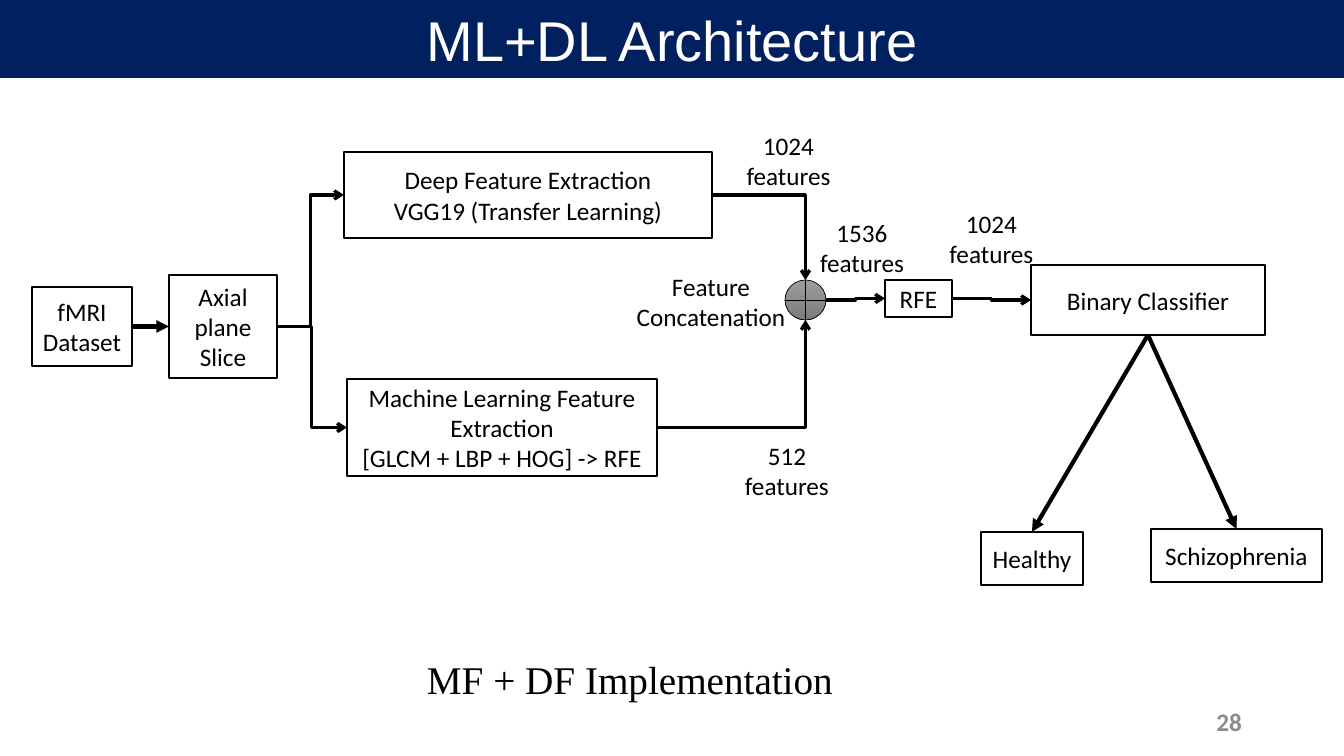
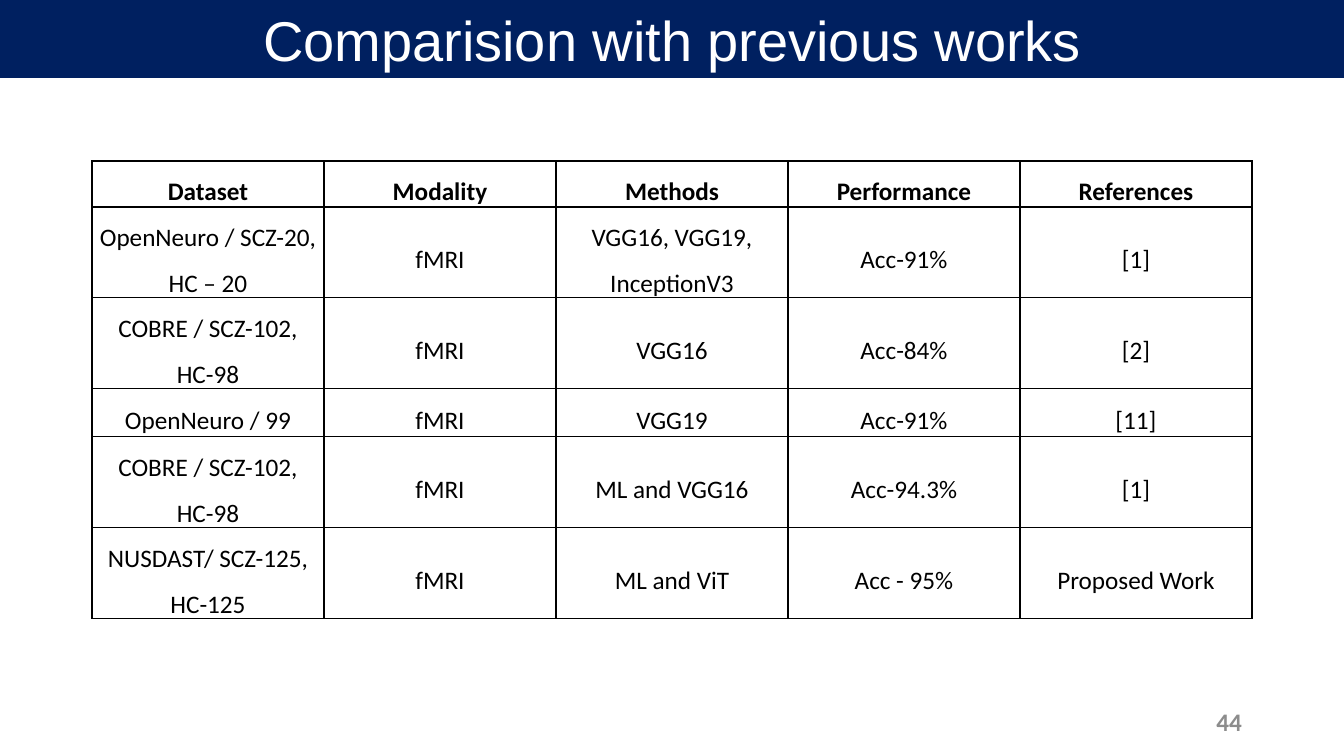
import pptx
import pptx.util
import pptx.dml.color
import pptx.enum.shapes
import pptx.enum.text
import pptx.oxml.ns
import lxml.etree

RGB = pptx.dml.color.RGBColor
SHAPE = pptx.enum.shapes.MSO_SHAPE
LINK = pptx.enum.shapes.MSO_CONNECTOR
ALIGN = pptx.enum.text.PP_ALIGN
ANCHOR = pptx.enum.text.MSO_ANCHOR
FIT = pptx.enum.text.MSO_AUTO_SIZE
Pt = pptx.util.Pt
qn = pptx.oxml.ns.qn

NAVY = RGB(0x00, 0x20, 0x60)
WHITE = RGB(0xFF, 0xFF, 0xFF)
BLACK = RGB(0x00, 0x00, 0x00)
GRAY = RGB(0x8C, 0x8C, 0x8C)
LIGHT = RGB(0x9D, 0x9D, 0x9D)
DARK = RGB(0x7C, 0x7C, 0x7C)

PX = 914400 / 100.8
WIDTH, HEIGHT = 1344, 756
BAND = (0, 0, WIDTH, 78)
PAGE = (950, 701, 302, 40)

# name: (text, (left, top, width, height))
BOXES = {
    "data": ("fMRI Dataset", (32, 287, 100, 79)),
    "slice": ("Axial plane\nSlice", (169, 275, 108, 103)),
    "deep": ("Deep Feature Extraction\nVGG19 (Transfer Learning)",
             (344, 152, 368, 86)),
    "ml": ("Machine Learning Feature Extraction\n[GLCM + LBP + HOG] -> RFE",
           (347, 379, 310, 97)),
    "rfe": ("RFE", (885, 280, 67, 37)),
    "class": ("Binary Classifier", (1031, 265, 234, 70)),
    "well": ("Healthy", (981, 532, 102, 53)),
    "ill": ("Schizophrenia", (1151, 529, 171, 53)),
}
JOIN = (785, 280, 41, 40)
LABELS = [
    ("1024 features", (712, 125, 153, 72)),
    ("512\nfeatures", (726, 435, 122, 72)),
    ("1536 features", (808, 212, 108, 72)),
    ("1024\nfeatures", (933, 203, 117, 72)),
    ("Feature Concatenation", (622, 266, 178, 72)),
]
CAPTION = ("MF + DF Implementation", (417, 650, 441, 57))

STRAIGHT, STEP, CORNER = "line", "bentConnector3", "bentConnector2"
ARROWS = [
    ("data", "right", "slice", "left", STRAIGHT),
    ("slice", "right", "deep", "left", STEP),
    ("slice", "right", "ml", "left", STEP),
    ("deep", "right", "join", "top", CORNER),
    ("ml", "right", "join", "bottom", CORNER),
    ("join", "right", "rfe", "left", STEP),
    ("rfe", "right", "class", "left", STEP),
    ("class", "bottom", "well", "top", STRAIGHT),
    ("class", "bottom", "ill", "top", STRAIGHT),
]
# side: (share of width, share of height, connection site of a rectangle)
SIDES = {"top": (0.5, 0, 0), "left": (0, 0.5, 1),
         "bottom": (0.5, 1, 2), "right": (1, 0.5, 3)}

GRID = (92, 161)
COL = 232
ROWS = [
    (46, ["Dataset", "Modality", "Methods", "Performance", "References"]),
    (90, ["OpenNeuro / SCZ-20, HC – 20", "fMRI", "VGG16, VGG19, InceptionV3",
          "Acc-91%", "[1]"]),
    (91, ["COBRE / SCZ-102, HC-98", "fMRI", "VGG16", "Acc-84%", "[2]"]),
    (48, ["OpenNeuro / 99", "fMRI", "VGG19", "Acc-91%", "[11]"]),
    (91, ["COBRE / SCZ-102, HC-98", "fMRI", "ML and VGG16", "Acc-94.3%",
          "[1]"]),
    (90, ["NUSDAST/ SCZ-125, HC-125", "fMRI", "ML and ViT", "Acc - 95%",
          "Proposed Work"]),
]


def emu(*lengths):
    return [pptx.util.Emu(round(n * PX)) for n in lengths]


def write(frame, text, size=18, face="Calibri", color=BLACK,
          align=ALIGN.CENTER, bold=False):
    frame.text = text
    for para in frame.paragraphs:
        para.alignment = align
        for run in para.runs:
            font = run.font
            font.size, font.name, font.bold = Pt(size), face, bold
            font.color.rgb = color


def label(slide, text, area, anchor=ANCHOR.TOP, **style):
    frame = slide.shapes.add_textbox(*emu(*area)).text_frame
    frame.word_wrap = True
    frame.vertical_anchor = anchor
    write(frame, text, **style)


def start(deck, title, page):
    """Add a slide with its title band and page number."""
    slide = deck.slides.add_slide(deck.slide_layouts[5])
    band = slide.shapes.title
    band.left, band.top, band.width, band.height = emu(*BAND)
    band.fill.solid()
    band.fill.fore_color.rgb = NAVY
    frame = band.text_frame
    frame.word_wrap = True
    frame.auto_size = FIT.NONE
    frame.vertical_anchor = ANCHOR.TOP
    write(frame, title, 40, "Arial", WHITE)
    label(slide, page, PAGE, ANCHOR.MIDDLE, color=GRAY, align=ALIGN.RIGHT,
          bold=True)
    return slide


def outline(slide, kind, area, weight):
    shape = slide.shapes.add_shape(kind, *emu(*area))
    shape.shadow.inherit = False
    shape.line.color.rgb = BLACK
    shape.line.width = Pt(weight)
    return shape


def box(slide, text, area):
    shape = outline(slide, SHAPE.RECTANGLE, area, 1)
    shape.fill.solid()
    shape.fill.fore_color.rgb = WHITE
    shape.text_frame.vertical_anchor = ANCHOR.MIDDLE
    write(shape.text_frame, text)
    return shape


def joint(slide):
    shape = outline(slide, SHAPE.FLOWCHART_OR, JOIN, 0.5)
    shape.fill.gradient()
    shape.fill.gradient_angle = 270
    for stop, color in zip(shape.fill.gradient_stops, (LIGHT, DARK)):
        stop.color.rgb = color
    return shape


def port(shape, side):
    """Return the point and the connection site on one side of a shape."""
    across, down, site = SIDES[side]
    if shape.auto_shape_type == SHAPE.FLOWCHART_OR:
        site *= 2  # round shapes have eight sites
    return (round(shape.left + across * shape.width),
            round(shape.top + down * shape.height), site)


def arrow(slide, first, out, last, into, route):
    x1, y1, site1 = port(first, out)
    x2, y2, site2 = port(last, into)
    straight = route == STRAIGHT
    kind = LINK.STRAIGHT if straight else LINK.ELBOW
    link = slide.shapes.add_connector(kind, x1, y1, x2, y2)
    link.line.color.rgb = BLACK
    link.line.width = Pt(3 if straight else 2.25)
    props = link._element.spPr
    props.find(qn("a:prstGeom")).set("prst", route)
    lxml.etree.SubElement(props.find(qn("a:ln")), qn("a:tailEnd"),
                          type="triangle" if straight else "arrow")
    lxml.etree.SubElement(props, qn("a:effectLst"))
    glue = next(link._element.iter(qn("p:cNvCxnSpPr")))
    for tag, shape, site in (("a:stCxn", first, site1),
                             ("a:endCxn", last, site2)):
        lxml.etree.SubElement(glue, qn(tag), id=str(shape.shape_id),
                              idx=str(site))


def border(cell):
    props = cell._tc.get_or_add_tcPr()
    for spot, side in enumerate(("lnL", "lnR", "lnT", "lnB")):
        line = lxml.etree.Element(qn("a:" + side), w=str(int(Pt(1))))
        fill = lxml.etree.SubElement(line, qn("a:solidFill"))
        lxml.etree.SubElement(fill, qn("a:srgbClr"), val=str(BLACK))
        props.insert(spot, line)


def grid(slide):
    count = len(ROWS[0][1])
    size = (COL * count, sum(height for height, _ in ROWS))
    table = slide.shapes.add_table(len(ROWS), count, *emu(*GRID, *size)).table
    table.horz_banding = False
    for col in table.columns:
        col.width = emu(COL)[0]
    for r, (height, texts) in enumerate(ROWS):
        table.rows[r].height = emu(height)[0]
        for c, text in enumerate(texts):
            cell = table.cell(r, c)
            cell.fill.solid()
            cell.fill.fore_color.rgb = WHITE
            cell.margin_left = cell.margin_right = emu(7)[0]
            cell.margin_top = cell.margin_bottom = 0
            cell.vertical_anchor = ANCHOR.MIDDLE
            write(cell.text_frame, text, bold=r == 0)
            cell.text_frame.paragraphs[0].line_spacing = 1.5
            border(cell)


def main():
    deck = pptx.Presentation()
    deck.slide_width, deck.slide_height = emu(WIDTH, HEIGHT)

    flow = start(deck, "ML+DL Architecture", "28")
    nodes = {name: box(flow, *item) for name, item in BOXES.items()}
    nodes["join"] = joint(flow)
    for first, out, last, into, route in ARROWS:
        arrow(flow, nodes[first], out, nodes[last], into, route)
    for text, area in LABELS:
        label(flow, text, area)
    label(flow, *CAPTION, size=28, face="Times New Roman", align=ALIGN.LEFT)

    grid(start(deck, "Comparision with previous works", "44"))
    deck.save("out.pptx")


if __name__ == "__main__":
    main()
